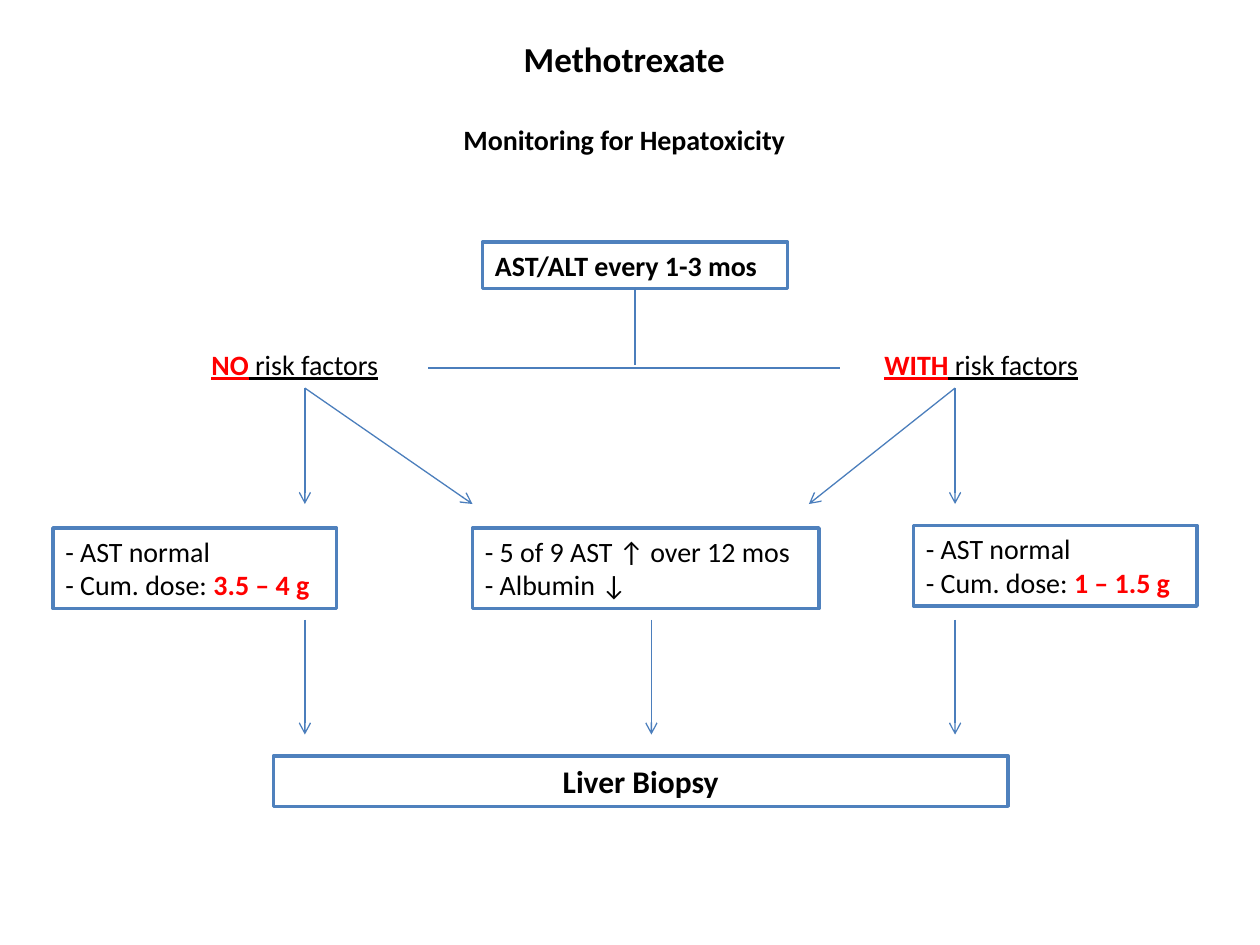
from pptx import Presentation
from pptx.util import Inches, Pt
from pptx.dml.color import RGBColor as Rgb
from pptx.enum.shapes import MSO_SHAPE as Shape, MSO_CONNECTOR as Link
from pptx.enum.text import PP_ALIGN as Align, MSO_ANCHOR as Anchor
from pptx.oxml.ns import qn
from lxml import etree

BLACK, RED, BLUE, EDGE = "000000", "FF0000", "4B7EBC", "4F81BD"
PLAIN, BOLD, HOT = (BLACK, False), (BLACK, True), (RED, True)

LABELS = [
    ((3.33, 0.25, 3.25, 0.44), 20, Align.CENTER, False, [[("Methotrexate", BOLD)]]),
    ((3.58, 0.92, 2.83, 0.37), 16, Align.LEFT, False,
     [[("Monitoring for Hepatoxicity", BOLD)]]),
    ((1.58, 2.71, 1.67, 0.37), 16, Align.LEFT, True,
     [[("NO", HOT), (" risk factors", PLAIN)]]),
    ((6.92, 2.71, 2, 0.37), 16, Align.LEFT, True,
     [[("WITH", HOT), (" risk factors", PLAIN)]]),
]


def dose(span):
    return [[("- AST normal", PLAIN)], [("- Cum. dose: ", PLAIN), (span, HOT)]]


TEST = ((3.83, 1.92, 2.42, 0.37), 16, Align.LEFT, [[("AST/ALT every 1-3 mos", BOLD)]])
BOXES = [
    ((0.42, 4.19, 2.25, 0.64), 16, Align.LEFT, dose("3.5 – 4 g")),
    ((3.75, 4.19, 2.75, 0.64), 16, Align.LEFT,
     [[("- 5 of 9 AST ↑ over 12 mos", PLAIN)], [("- Albumin ↓", PLAIN)]]),
    ((7.25, 4.17, 2.25, 0.64), 16, Align.LEFT, dose("1 – 1.5 g")),
    ((2.17, 6, 5.83, 0.4), 18, Align.CENTER, [[("Liver Biopsy", BOLD)]]),
]

LEFT, MID, RIGHT = 2.42, 5.17, 7.58
SPLIT = [(LEFT, LEFT), (RIGHT, RIGHT), (LEFT, 3.75), (RIGHT, 6.42)]
DROP = [LEFT, RIGHT, MID]


def color(code):
    return Rgb.from_string(code)


def write(shape, size, align, under, paras):
    frame = shape.text_frame
    frame.word_wrap = True
    frame.vertical_anchor = Anchor.TOP
    for i, parts in enumerate(paras):
        para = frame.add_paragraph() if i else frame.paragraphs[0]
        para.alignment = align
        for text, (code, bold) in parts:
            run = para.add_run()
            run.text = text
            font = run.font
            font.name, font.size, font.bold = "Calibri", Pt(size), bold
            font.color.rgb = color(code)
            if under:
                font.underline = True


def add_box(slide, at, size, align, paras):
    box = slide.shapes.add_shape(Shape.RECTANGLE, *map(Inches, at))
    box.shadow.inherit = False
    box.fill.background()
    box.line.color.rgb = color(EDGE)
    box.line.width = Pt(2)
    write(box, size, align, False, paras)
    return box


def add_line(slide, start, end, arrow=False):
    link = slide.shapes.add_connector(Link.STRAIGHT, *map(Inches, start + end))
    link.line.color.rgb = color(BLUE)
    link.line.width = Pt(0.75)
    if arrow:
        etree.SubElement(link.line._get_or_add_ln(), qn("a:tailEnd"), type="arrow")
    etree.SubElement(link._element.spPr, qn("a:effectLst"))
    return link


def main():
    deck = Presentation()
    deck.slide_width, deck.slide_height = Inches(10), Inches(7.5)
    slide = deck.slides.add_slide(deck.slide_layouts[6])

    for at, size, align, under, paras in LABELS:
        label = slide.shapes.add_textbox(*map(Inches, at))
        write(label, size, align, under, paras)

    test = add_box(slide, *TEST)
    stem = add_line(slide, (5.04, 2.29), (5.04, 2.9))
    stem.begin_connect(test, 2)
    add_line(slide, (3.4, 2.92), (6.67, 2.92))

    for box in BOXES:
        add_box(slide, *box)
    for x, to in SPLIT:
        add_line(slide, (x, 3.08), (to, 4), True)
    for x in DROP:
        add_line(slide, (x, 4.92), (x, 5.83), True)

    deck.save("out.pptx")


if __name__ == "__main__":
    main()
